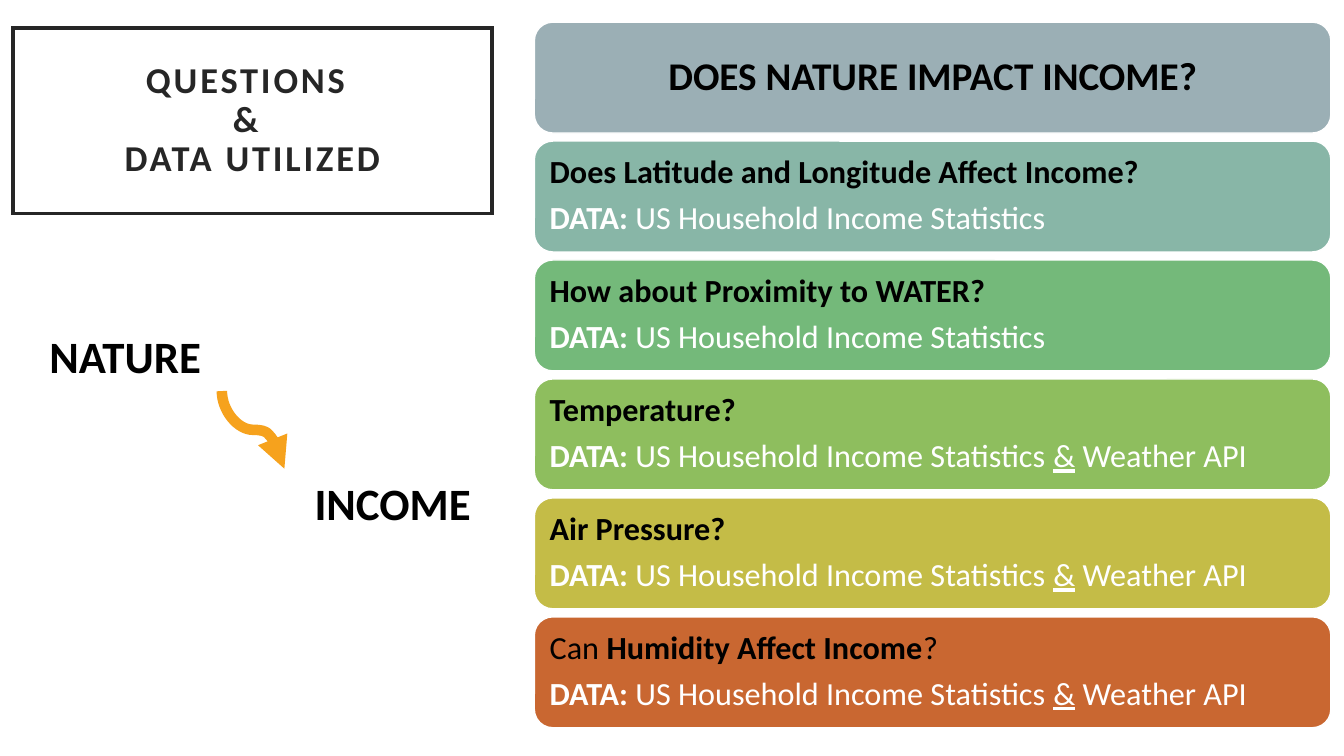
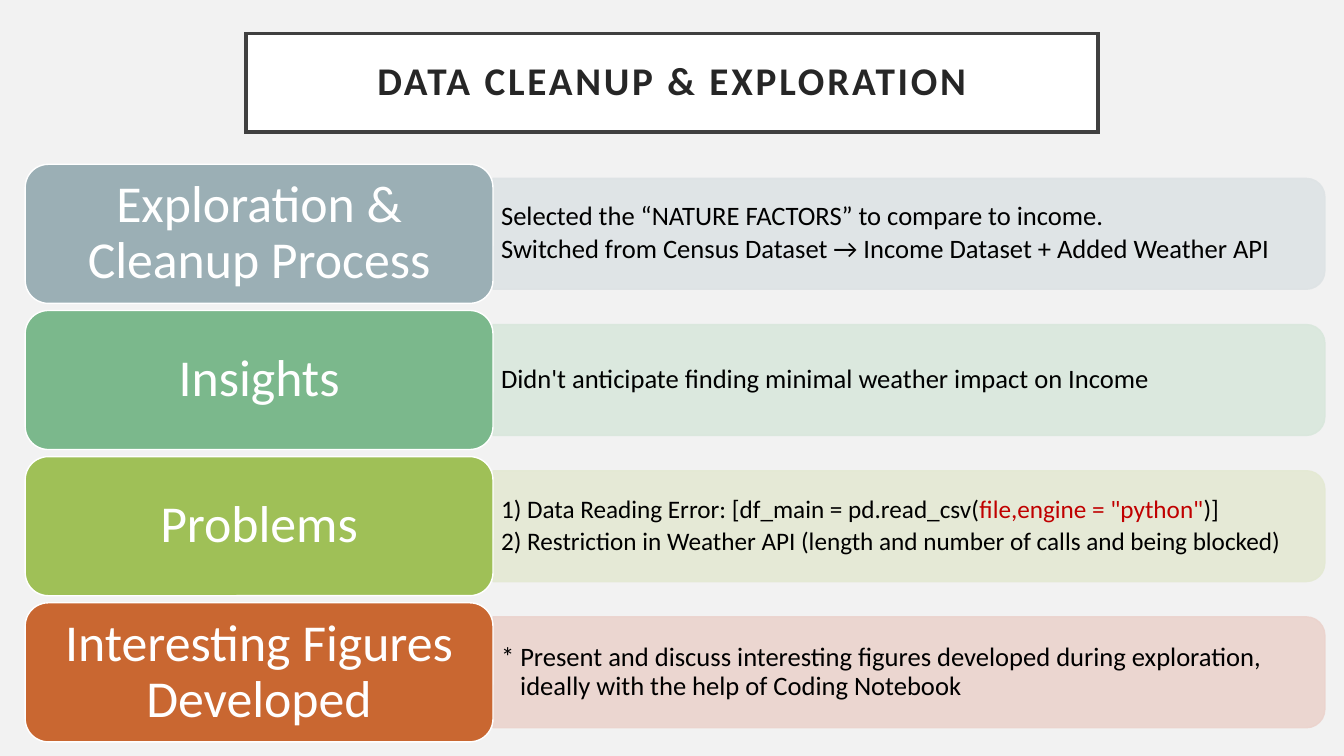
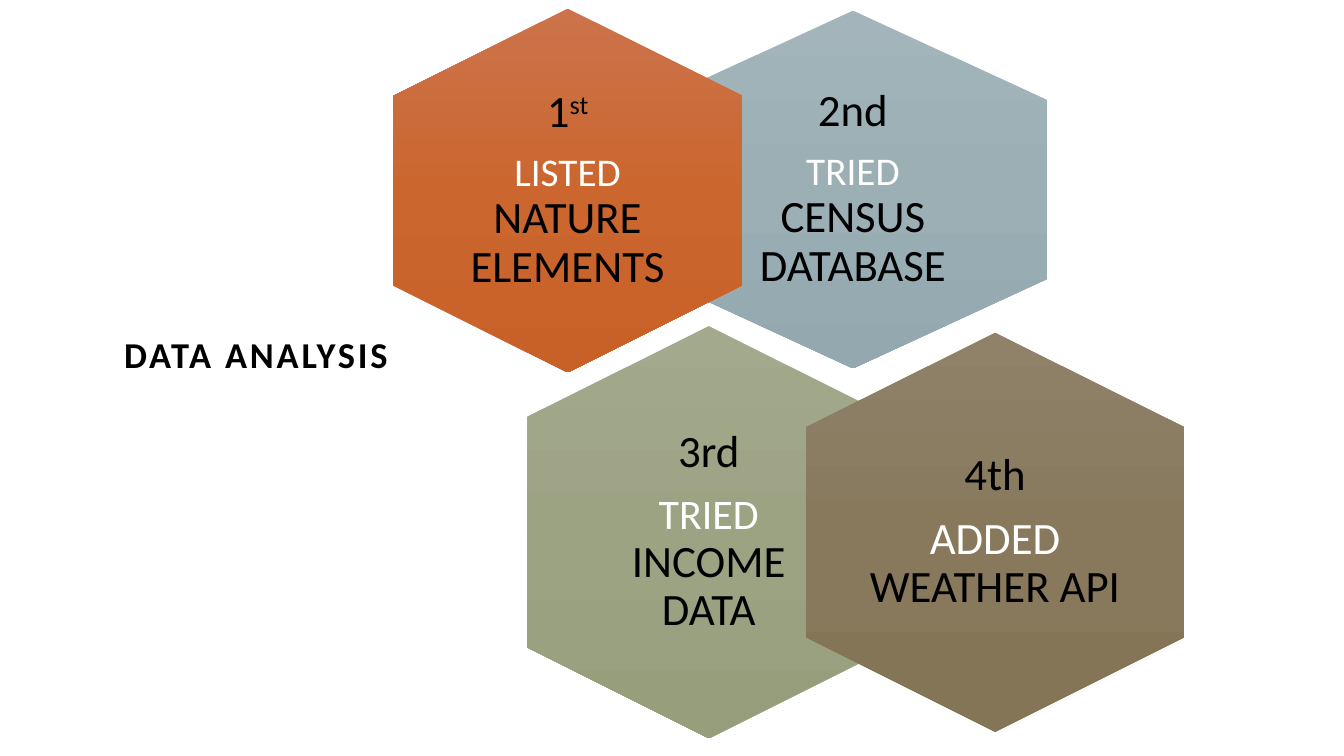
from copy import deepcopy

from pptx import Presentation
from pptx.dml.color import RGBColor
from pptx.enum.shapes import MSO_CONNECTOR, MSO_SHAPE
from pptx.enum.text import MSO_ANCHOR, PP_ALIGN
from pptx.oxml.ns import qn
from pptx.oxml.xmlchemy import OxmlElement
from pptx.util import Inches, Pt

FONT = "Calibri"
C = {
    "white": "FFFFFF", "black": "000000", "ink": "262626", "frame": "404040",
    "pale": "F2F2F2", "slate": "9BAFB5", "rust": "C96731", "code": "C00000",
    "arrow": "F6A21D", "teal": "88B6A7", "green": "74B97A", "leaf": "8EBE5E",
    "olive": "C4BC47", "mint": "7BB88C", "lime": "9FC057", "slate_tint": "DEE3E5",
    "mint_tint": "D9E7DC", "lime_tint": "E4E9D3", "rust_tint": "EBD3CD",
}

# A paragraph is a list of runs; a run is (text, overrides).
BOLD, PLAIN, LIGHT = {"bold": True}, {}, {"color": "white"}
DATA = [("DATA: ", {"bold": True, **LIGHT}), ("US Household Income Statistics", LIGHT)]
DATA_API = [DATA[0], ("US Household Income Statistics ", LIGHT),
            ("&", {"underline": True, **LIGHT}), (" Weather API", LIGHT)]

MAIN_QUESTION = "DOES NATURE IMPACT INCOME?"
QUESTIONS = [
    ("teal", [("Does Latitude and Longitude Affect Income?", BOLD)], DATA),
    ("green", [("How about Proximity to WATER?", BOLD)], DATA),
    ("leaf", [("Temperature?", BOLD)], DATA_API),
    ("olive", [("Air Pressure?", BOLD)], DATA_API),
    ("rust", [("Can\u00a0", PLAIN), ("Humidity Affect Income", BOLD), ("?", PLAIN)], DATA_API),
]

# Heading, heading colour, detail colour, detail size, detail paragraphs
STEPS = [
    ("Exploration & Cleanup Process", "slate", "slate_tint", 19, [
        [("Selected the “NATURE FACTORS” to compare to income. ", PLAIN)],
        [("Switched from Census Dataset → Income Dataset + Added Weather API", PLAIN)]]),
    ("Insights", "mint", "mint_tint", 19, [
        [("Didn't anticipate finding minimal weather impact on Income", PLAIN)]]),
    ("Problems", "lime", "lime_tint", 18, [
        [("1) Data Reading Error: [df_main = pd.read_csv(", PLAIN),
         ('file,engine = "python"', {"color": "code"}), (")]", PLAIN)],
        [("2) Restriction in Weather API (length and number of calls and being blocked)", PLAIN)]]),
    ("Interesting Figures Developed", "rust", "rust_tint", 19, [
        [("* Present and discuss interesting figures developed during exploration, "
          "ideally with the help of Coding Notebook", PLAIN)]]),
]

# Hexagon centre, width and height on the slide, text width and height, inset,
# gradient, order, verb, verb size, object
HEXAGONS = [
    ((8.46, 1.88), (3.55, 3.85), (2.56, 2.37), 0.13, ("A3B5BB", "9BAFB5", "93A9AF"),
     [("2nd", PLAIN)], "TRIED ", 28, "CENSUS DATABASE"),
    ((5.63, 1.89), (3.46, 3.61), (2.33, 2.43), 0, ("CC734B", "CB662F", "C86128"),
     [("1", PLAIN), ("st", {"baseline": 30000})], "LISTED ", 28, "NATURE ELEMENTS"),
    ((7.03, 5.28), (3.6, 4.09), (2.47, 2.81), 0.13, ("A3A98C", "9CA383", "979E7C"),
     [("3rd", PLAIN)], "TRIED ", 30, "INCOME DATA"),
    ((9.87, 5.28), (3.75, 3.96), (2.53, 2.67), 0, ("8F8269", "88795C", "847557"),
     [("4th", PLAIN)], "ADDED ", 32, "WEATHER API"),
]
HEXAGONS[0] = (HEXAGONS[0][0], (3.85, 3.55), *HEXAGONS[0][2:])


def rgb(name):
    """Return the colour for a palette name."""
    return RGBColor.from_string(C[name])


def write(shape, paras, size, color="black", bold=False, align=PP_ALIGN.LEFT,
          insets=(0.1, 0.05), after=0.0, spacing=0.9, hang=0.0, track=0):
    """Fill a shape with paragraphs; after is a share of the text size."""
    tf = shape.text_frame
    tf.word_wrap = True
    tf.vertical_anchor = MSO_ANCHOR.MIDDLE
    tf.margin_left = tf.margin_right = Inches(insets[0])
    tf.margin_top = tf.margin_bottom = Inches(insets[1])
    for i, runs in enumerate(paras):
        p = tf.add_paragraph() if i else tf.paragraphs[0]
        p.alignment, p.line_spacing, p.space_after = align, spacing, Pt(round(size * after))
        p.font.name, p.font.size, p.font.bold = FONT, Pt(size), bold
        p.font.color.rgb = rgb(color)
        if hang:
            pPr = p._p.get_or_add_pPr()
            pPr.set("marL", str(Inches(hang)))
            pPr.set("indent", str(-Inches(hang)))
        for text, look in runs:
            for k, line in enumerate(text.split("\n")):
                if k:
                    p.add_line_break()
                r = p.add_run()
                r.text = line
                style_run(r, look, track)
    return tf


def style_run(r, look, track):
    """Apply a run's own overrides and letter spacing."""
    if "color" in look:
        r.font.color.rgb = rgb(look["color"])
    if "size" in look:
        r.font.size = Pt(look["size"])
    for name in ("bold", "underline"):
        if name in look:
            setattr(r.font, name, look[name])
    if "baseline" in look:
        r.font._element.set("baseline", str(look["baseline"]))
    if track:
        r.font._element.set("spc", str(track * 100))


def box(s, kind, at, fill=None, line=None, width=1):
    """Add a flat preset shape."""
    sp = s.shapes.add_shape(kind, *map(Inches, at))
    sp.shadow.inherit = False
    if fill:
        sp.fill.solid()
        sp.fill.fore_color.rgb = rgb(fill)
    else:
        sp.fill.background()
    if line:
        sp.line.color.rgb = rgb(line)
        sp.line.width = Pt(width)
    else:
        sp.line.fill.background()
    return sp


def textbox(s, at, paras, size, **style):
    """Add a text box."""
    tb = s.shapes.add_textbox(*map(Inches, at))
    return write(tb, paras, size, **style)


def title(s, text, at, size, fill="white", line="ink", color="ink"):
    """Add the framed, letter-spaced slide title."""
    sp = box(s, MSO_SHAPE.RECTANGLE, at, fill, line, 2.5)
    sp._element.spPr.find(qn("a:ln")).append(OxmlElement("a:miter"))
    return write(sp, [[(text, PLAIN)]], size, color, True, PP_ALIGN.CENTER,
                 insets=(0.2, 0.2), track=2)


def turned(s, kind, centre, width, height, **look):
    """Add a shape turned a quarter that covers width by height on the slide."""
    cx, cy = centre
    sp = box(s, kind, (cx - height / 2, cy - width / 2, height, width), **look)
    sp.rotation = 90
    return sp


def fade(sp, percent):
    """Make a shape's fill and line colours partly see-through."""
    for clr in sp._element.spPr.iter(qn("a:srgbClr")):
        alpha = OxmlElement("a:alpha")
        alpha.set("val", str(percent * 1000))
        clr.append(alpha)


def shade(sp, colors):
    """Fill a shape from top to bottom with three colours."""
    sp.fill.gradient()
    sp.fill.gradient_angle = 270
    grad = sp._element.spPr.find(qn("a:gradFill"))
    grad.set("rotWithShape", "0")
    stops = grad.find(qn("a:gsLst"))
    stops.append(deepcopy(stops[0]))
    for stop, pos, color in zip(sp.fill.gradient_stops, (0, 0.5, 1), colors):
        stop.position = pos
        stop.color.rgb = RGBColor.from_string(color)


def curved_arrow(s, start, end, color, width):
    """Add an S-curve that leaves and arrives vertically, with an arrowhead."""
    (x1, y1), (x2, y2) = start, end
    cx, cy, half_w, half_h = (x1 + x2) / 2, (y1 + y2) / 2, (y2 - y1) / 2, (x2 - x1) / 2
    c = s.shapes.add_connector(MSO_CONNECTOR.CURVE, *map(
        Inches, (cx + half_w, cy - half_h, cx - half_w, cy + half_h)))
    c.line.color.rgb = rgb(color)
    c.line.width = Pt(width)
    spPr = c._element.spPr
    spPr.find(qn("a:xfrm")).set("rot", str(270 * 60000))
    tail = OxmlElement("a:tailEnd")
    tail.set("type", "triangle")
    spPr.find(qn("a:ln")).append(tail)
    spPr.append(OxmlElement("a:effectLst"))


def questions_slide(s):
    """Title and nature-to-income arrow beside a stack of questions."""
    title(s, "QUESTIONS \n& \nDATA UTILIZED", (0.13, 0.28, 4.75, 1.84), 26)
    left, top, pitch, width, height = 5.3, 0.22, 1.18, 7.9, 1.1
    bands = [("slate", [[(MAIN_QUESTION, BOLD)]], 28, PP_ALIGN.CENTER, 0.12)]
    bands += [(color, [ask, data], 23, PP_ALIGN.LEFT, 0.1) for color, ask, data in QUESTIONS]
    for i, (color, paras, size, align, inset) in enumerate(bands):
        sp = box(s, MSO_SHAPE.ROUNDED_RECTANGLE,
                 (left, top + i * pitch, width, height), color, "white")
        write(sp, paras, size, align=align, insets=(inset, inset), after=0.35)
    textbox(s, (0.39, 3.21, 2.48, 0.64), [[("NATURE", PLAIN)]], 32, bold=True, spacing=1)
    textbox(s, (2.69, 4.67, 2.41, 0.64), [[("INCOME", PLAIN)]], 32, bold=True, spacing=1,
            align=PP_ALIGN.CENTER)
    curved_arrow(s, (2.2, 3.88), (2.82, 4.65), "arrow", 7.5)


def cleanup_slide(s):
    """Four headings, each with a detail bar to its right."""
    s.background.fill.solid()
    s.background.fill.fore_color.rgb = rgb("pale")
    title(s, "DATA CLEANUP & EXPLORATION", (2.44, 0.33, 8.45, 0.98), 28, line="frame")
    left, top, pitch, width, height = 0.25, 1.63, 1.45, 4.64, 1.38
    bar_left, bar_width, bar_height = left + width, 8.25, 1.1
    for i, (heading, color, tint, size, details) in enumerate(STEPS):
        y = top + i * pitch
        middle = y + height / 2
        bar = turned(s, MSO_SHAPE.ROUND_2_SAME_RECTANGLE, (bar_left + bar_width / 2, middle),
                     bar_width, bar_height, fill=tint, line=tint)
        fade(bar, 90)
        textbox(s, (bar_left, middle - 0.5, 8.2, 1), details, size,
                insets=(0.08, 0.04), after=0.15, hang=0.19)
        sp = box(s, MSO_SHAPE.ROUNDED_RECTANGLE, (left, y, width, height), color, "white")
        write(sp, [[(heading, PLAIN)]], 37, "white", align=PP_ALIGN.CENTER,
              insets=(0.15, 0.08), after=0.35)


def analysis_slide(s):
    """Four overlapping hexagons in order of work."""
    tf = title(s, "DATA ANALYSIS", (0.7, 2.93, 3.68, 1.64), 26, None, "white", "black")
    tf.margin_bottom = Inches(0.63)
    for (cx, cy), (w, h), (tw, th), inset, colors, order, verb, size, thing in HEXAGONS:
        hexagon = turned(s, MSO_SHAPE.HEXAGON, (cx, cy), w, h)
        shade(hexagon, colors)
        paras = [order, [(verb, {"size": size, **LIGHT}), (thing, PLAIN)]]
        textbox(s, (cx - tw / 2, cy - th / 2, tw, th), paras, 32, align=PP_ALIGN.CENTER,
                insets=(inset, inset), after=0.35)


prs = Presentation()
prs.slide_width, prs.slide_height = Inches(13.33), Inches(7.5)
for build in (questions_slide, cleanup_slide, analysis_slide):
    build(prs.slides.add_slide(prs.slide_layouts[6]))
prs.save("out.pptx")
